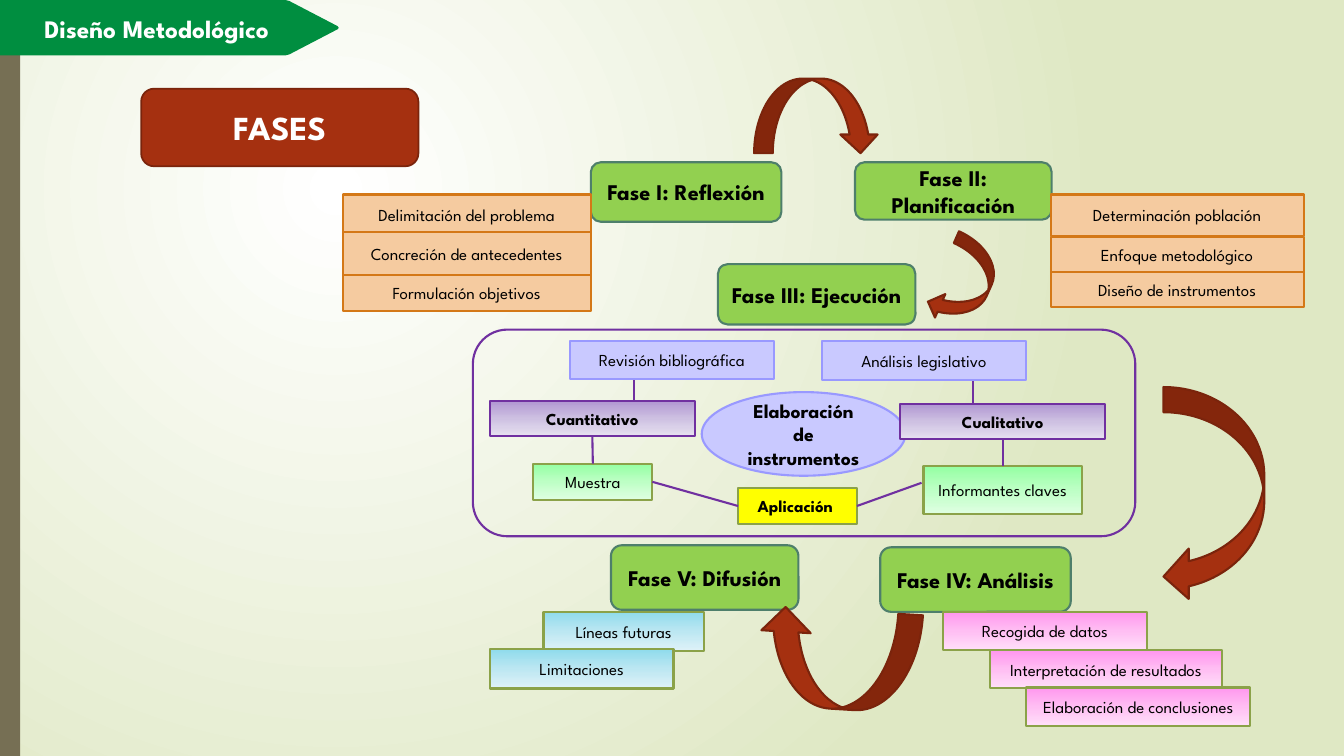
import copy

import pptx
import pptx.dml.color
import pptx.enum.dml
import pptx.enum.shapes
import pptx.enum.text
import pptx.oxml
import pptx.oxml.ns
import pptx.util

SHAPE = pptx.enum.shapes.MSO_SHAPE
STRAIGHT = pptx.enum.shapes.MSO_CONNECTOR.STRAIGHT
TEXT = pptx.enum.text
qn = pptx.oxml.ns.qn
TOP, LEFT, BOTTOM, RIGHT = range(4)

RUST, RUST_EDGE, PURPLE, OLIVE = "A53010", "7A240C", "7030A0", "8BA249"
PEACH = dict(fill="F5CBA0", line="D47817")
LILAC = dict(fill="C9C9FF", line="9999FF")
PINK = dict(fill=("FF96EE", "FFBEF3", "FFDFF9"), line=OLIVE)
BLUE = dict(fill=("8FDBEC", "BCE7F2", "DFF2F8"), line=OLIVE)
GREEN = dict(fill=("94FFA2", "BDFFC5", "DFFFE2"), line=OLIVE)
VIOLET = dict(fill=("B197D2", "CEC1E2", "E7E1F0"), line=PURPLE)


def rgb(value):
    return pptx.dml.color.RGBColor.from_string(value)


def write(sp, text, size=12, color="000000", bold=False, anchor=TEXT.MSO_ANCHOR.MIDDLE):
    tf = sp.text_frame
    tf.word_wrap = True
    tf.vertical_anchor = anchor
    p = tf.paragraphs[0]
    p.alignment = TEXT.PP_ALIGN.CENTER
    r = p.add_run()
    r.text = text
    r.font.name = "League Spartan"
    r.font.size = pptx.util.Pt(size)
    r.font.bold = bold
    r.font.color.rgb = rgb(color)


class Diagram:
    """Places elements on a grid of ten columns and ten rows to the inch."""

    cell = pptx.util.Inches(0.1)

    def __init__(self, prs):
        self.s = prs.slides.add_slide(prs.slide_layouts[6])

    def grid(self, *cells):
        return [round(c * self.cell) for c in cells]

    def background(self, inner, outer):
        """Radial gradient centred a quarter of the way across and down."""
        fill = self.s.background.fill
        fill.gradient()
        for stop, position, color in zip(fill.gradient_stops, (0, 1), (inner, outer)):
            stop.position = position
            stop.color.rgb = rgb(color)
        lin = next(self.s.element.iter(qn("a:lin")))
        lin.getparent().replace(lin, pptx.oxml.parse_xml(
            '<a:path xmlns:a="http://schemas.openxmlformats.org/drawingml/2006/main" path="circle">'
            '<a:fillToRect l="50000" t="50000" r="100000" b="100000"/></a:path>'))

    def paint(self, sp, fill=None, line=None, weight=1.5):
        sp.shadow.inherit = False
        if fill is None:
            sp.fill.background()
        elif isinstance(fill, str):
            sp.fill.solid()
            sp.fill.fore_color.rgb = rgb(fill)
        else:
            sp.fill.gradient()
            sp.fill.gradient_angle = 270
            first = next(sp.element.iter(qn("a:gs")))
            first.addnext(copy.deepcopy(first))
            for stop, position, color in zip(sp.fill.gradient_stops, (0, 0.5, 1), fill):
                stop.position = position
                stop.color.rgb = rgb(color)
        if line:
            sp.line.color.rgb = rgb(line)
            sp.line.width = pptx.util.Pt(weight)
        else:
            sp.line.fill.background()

    def shape(self, kind, at, rotation=0, **style):
        sp = self.s.shapes.add_shape(kind, *self.grid(*at))
        sp.rotation = rotation
        self.paint(sp, **style)
        return sp

    def box(self, text, at, style, kind=SHAPE.RECTANGLE, **font):
        sp = self.shape(kind, at, **style)
        write(sp, text, **font)
        return sp

    def phase(self, text, at):
        return self.box(text, at, dict(fill="92D050", line="4E7F6B"),
                        SHAPE.ROUNDED_RECTANGLE, size=16, bold=True)

    def arrow(self, kind, at, rotation=0):
        return self.shape(kind, at, rotation, fill=RUST, line=RUST_EDGE)

    def polygon(self, points, **style):
        start, *rest = [self.grid(*pt) for pt in points]
        builder = self.s.shapes.build_freeform(*start)
        builder.add_line_segments(rest, close=True)
        self.paint(builder.convert_to_shape(), **style)

    def label(self, text, at, **font):
        sp = self.s.shapes.add_textbox(*self.grid(*at))
        write(sp, text, anchor=TEXT.MSO_ANCHOR.TOP, **font)
        sp.text_frame.auto_size = TEXT.MSO_AUTO_SIZE.SHAPE_TO_FIT_TEXT

    def connect(self, start, end):
        """Each end is a grid point, or a shape with one of its sides."""
        points = [(0, 0) if hasattr(e[0], "shape_id") else self.grid(*e) for e in (start, end)]
        line = self.s.shapes.add_connector(STRAIGHT, *points[0], *points[1])
        for e, join in ((start, line.begin_connect), (end, line.end_connect)):
            if hasattr(e[0], "shape_id"):
                join(*e)
        line.line.color.rgb = rgb(PURPLE)
        line.line.width = pptx.util.Pt(1.5)
        line.element.spPr.append(pptx.oxml.parse_xml(
            '<a:effectLst xmlns:a="http://schemas.openxmlformats.org/drawingml/2006/main"/>'))


def draw_frame(d):
    d.background("FFFFFF", "DFE8C4")
    d.shape(SHAPE.RECTANGLE, (0, 0, 2, 75), fill="766F54")
    d.polygon([(0, 0), (28.3, 0), (28.7, 0.1), (33.5, 2.6), (33.6, 2.75),
               (33.5, 2.9), (28.7, 5.4), (28.3, 5.5), (0, 5.5)], fill="008E40")


def draw_outer_phases(d):
    d.phase("Fase I: Reflexión", (58.6, 16.1, 18.9, 5.9))
    for text, y, h in (("Delimitación del problema", 19.3, 4),
                       ("Concreción de antecedentes", 23, 4.3),
                       ("Formulación objetivos", 27.3, 3.6)):
        d.box(text, (34, y, 24.6, h), PEACH)

    d.phase("Fase II: Planificación", (84.8, 16.1, 19.5, 5.7))
    for text, y, h in (("Determinación población", 19.3, 4.1),
                       ("Enfoque metodológico", 23.5, 3.6),
                       ("Diseño de instrumentos", 27, 3.5)):
        d.box(text, (104.2, y, 25.1, h), PEACH)
    d.arrow(SHAPE.CURVED_DOWN_ARROW, (74.8, 7.8, 12.4, 7.4))

    d.phase("Fase IV: Análisis", (87.3, 54.3, 18.9, 6.4))
    for text, x, y, w in (("Recogida de datos", 93.5, 60.7, 20.3),
                          ("Interpretación de resultados", 98.2, 64.5, 23),
                          ("Elaboración de conclusiones", 101.8, 68.2, 22.2)):
        d.box(text, (x, y, w, 3.8), PINK)
    d.arrow(SHAPE.CURVED_LEFT_ARROW, (115.4, 38.4, 10, 21.3))

    d.phase("Fase V: Difusión", (60.6, 54.1, 18.6, 6.4))
    for text, x, y, w in (("Líneas futuras", 53.9, 60.7, 15.9),
                          ("Limitaciones", 48.6, 64.4, 18.2)):
        d.box(text, (x, y, w, 3.9), BLUE)
    d.arrow(SHAPE.CURVED_LEFT_ARROW, (78.3, 57.4, 9.8, 16.1), 93.5)


def draw_execution_phase(d):
    for x in (62.9, 96.5):
        d.connect((x, 37.5), (x, 40.2))
    d.phase("Fase III: Ejecución", (71.2, 26.2, 19.6, 6))
    d.box("Elaboración de instrumentos", (69.6, 38.9, 20.2, 8.3), LILAC,
          SHAPE.OVAL, size=14, bold=True)
    quantitative = d.box("Cuantitativo", (48.6, 39.8, 20.3, 3.5), VIOLET, bold=True)
    d.box("Revisión bibliográfica", (56.5, 33.8, 20.3, 3.8), LILAC)
    d.box("Análisis legislativo", (81.5, 33.8, 20.3, 3.9), LILAC)
    d.shape(SHAPE.ROUNDED_RECTANGLE, (46.9, 32.7, 65.7, 20.5), line=PURPLE)
    qualitative = d.box("Cualitativo", (89.3, 40.1, 20.3, 3.5), VIOLET, bold=True)
    sample = d.box("Muestra", (52.9, 46, 11.8, 3.6), GREEN)
    application = d.box("Aplicación ", (73.2, 48.4, 11.8, 3.6),
                        dict(fill="FFFF00", line=OLIVE), bold=True)
    informants = d.box("Informantes claves", (91.6, 46.2, 15.7, 4.8), GREEN)
    d.arrow(SHAPE.CURVED_LEFT_ARROW, (93.1, 23.6, 5.1, 8.9), 23.8)
    d.connect((quantitative, BOTTOM), (sample, TOP))
    d.connect((qualitative, BOTTOM), (informants, TOP))
    d.connect((sample, RIGHT), (application, LEFT))
    d.connect((application, RIGHT), (91.4, 47.9))


def draw_titles(d):
    d.label("Diseño Metodológico", (-0.5, 0.8, 32.1, 4), size=18, color="FFFFFF", bold=True)
    d.box("FASES", (14, 8.8, 27.5, 7.7), dict(fill=RUST, line=RUST_EDGE, weight=1.25),
          SHAPE.ROUNDED_RECTANGLE, size=24, color="FFFFFF", bold=True)


def main():
    prs = pptx.Presentation()
    prs.slide_width = pptx.util.Inches(13.33)
    prs.slide_height = pptx.util.Inches(7.5)
    d = Diagram(prs)
    draw_frame(d)
    draw_outer_phases(d)
    draw_execution_phase(d)
    draw_titles(d)
    prs.save("out.pptx")


if __name__ == "__main__":
    main()
